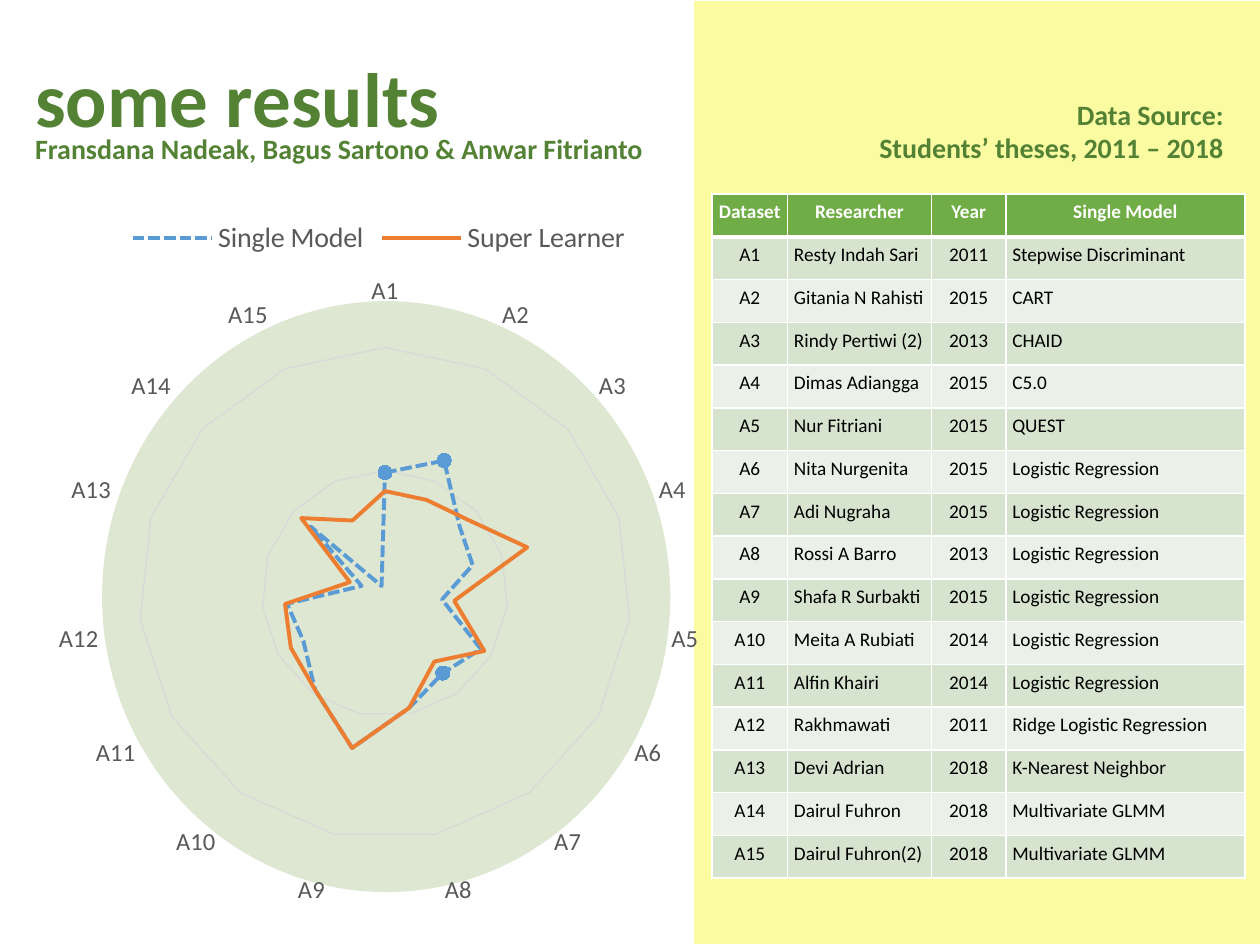
import pptx
import pptx.util
import pptx.chart.data
import pptx.dml.color
import pptx.enum.chart
import pptx.enum.dml
import pptx.enum.shapes
import pptx.enum.text
import lxml.etree

Pt = pptx.util.Pt
kinds = pptx.enum.shapes.MSO_SHAPE
align = pptx.enum.text.PP_ALIGN
enums = pptx.enum.chart
tones = {"panel": "FBFBA2", "disc": "DEE7D1", "title": "548235", "head": "70AD47",
         "odd": "D5E3CF", "even": "EBF1E9", "white": "FFFFFF", "black": "000000",
         "label": "595959", "grid": "D9D9D9", "single": "5B9BD5", "super": "ED7D31"}


def paint(font, size, tone, bold=False):
    font.name = "Calibri"
    font.size = Pt(size)
    font.bold = bold
    font.color.rgb = pptx.dml.color.RGBColor.from_string(tones[tone])


def fill(item, tone):
    item.fill.solid()
    item.fill.fore_color.rgb = pptx.dml.color.RGBColor.from_string(tones[tone])


deck = pptx.Presentation()
deck.slide_width, deck.slide_height = Pt(720), Pt(540)
slide = deck.slides.add_slide(deck.slide_layouts[6])
shapes = slide.shapes

for kind, box, tone in [(kinds.RECTANGLE, (396.7, 0.7, 323.3, 538.6), "panel"),
                        (kinds.OVAL, (58.3, 172.1, 324.7, 337.7), "disc")]:
    shape = shapes.add_shape(kind, *map(Pt, box))
    shape.shadow.inherit = False
    fill(shape, tone)
    shape.line.fill.background()

texts = [("some results", (13, 6.5, 620.6, 104.4), 44, align.LEFT, 0.9),
         ("Fransdana Nadeak, Bagus Sartono & Anwar Fitrianto",
          (13, 71.3, 364.3, 26.6), 16, align.LEFT, 1),
         ("Data Source:\nStudents’ theses, 2011 – 2018",
          (404.6, 51.8, 301.7, 46.1), 16, align.RIGHT, 1)]
for text, box, size, side, space in texts:
    frame = shapes.add_textbox(*map(Pt, box)).text_frame
    frame.word_wrap = True
    frame.vertical_anchor = pptx.enum.text.MSO_ANCHOR.MIDDLE
    frame.text = text
    for para in frame.paragraphs:
        para.alignment = side
        para.line_spacing = space
        paint(para.runs[0].font, size, "title", True)

data = pptx.chart.data.CategoryChartData()
data.categories = [f"A{n}" for n in range(1, 16)]
data.add_series("Single Model", [82, 94, 72, 68, 51, 77, 71, 80, 100, 81, 69, 71, 35, 72, 27])
data.add_series("Super Learner", [73, 73, 77, 96, 57, 79, 64, 80, 100, 81, 76, 72, 41, 78, 62])
chart = shapes.add_chart(enums.XL_CHART_TYPE.RADAR, Pt(-59), Pt(118.1), Pt(550.8),
                         Pt(407.5), data).chart
paint(chart.font, 10, "black")
chart.has_title = False
chart.has_legend = True
chart.legend.position = enums.XL_LEGEND_POSITION.TOP
chart.legend.include_in_layout = False
paint(chart.legend.font, 16, "label")
plot = chart.plots[0]
plot.vary_by_categories = False

cat = chart.category_axis
cat.major_tick_mark = enums.XL_TICK_MARK.NONE
paint(cat.tick_labels.font, 14, "label")
val = chart.value_axis
val.visible = False
val.minimum_scale, val.maximum_scale, val.major_unit = 23, 143, 60
val.has_major_gridlines = True
for line in (cat.format.line, val.major_gridlines.format.line):
    fill(line, "grid")
    line.width = Pt(0.75)

for series, tone in zip(plot.series, ("single", "super")):
    series.smooth = False
    series.marker.style = enums.XL_MARKER_STYLE.NONE
    fill(series.format.line, tone)
    series.format.line.width = Pt(2.25)
single = plot.series[0]
dash = pptx.enum.dml.MSO_LINE.SQUARE_DOT
single.format.line.dash_style = dash
for spot in (0, 1, 6):
    point = single.points[spot]
    point.marker.style = enums.XL_MARKER_STYLE.CIRCLE
    point.marker.size = 8
    fill(point.marker.format, "single")
    fill(point.marker.format.line, "single")
    fill(point.format.line, "single")
    point.format.line.width = Pt(2.25)
    point.format.line.dash_style = dash

rows = [("Dataset", "Researcher", "Year", "Single Model")]
people = [("Resty Indah Sari", 2011, "Stepwise Discriminant"),
          ("Gitania N Rahisti", 2015, "CART"),
          ("Rindy Pertiwi (2)", 2013, "CHAID"),
          ("Dimas Adiangga", 2015, "C5.0"),
          ("Nur Fitriani", 2015, "QUEST"),
          ("Nita Nurgenita", 2015, "Logistic Regression"),
          ("Adi Nugraha", 2015, "Logistic Regression"),
          ("Rossi A Barro", 2013, "Logistic Regression"),
          ("Shafa R Surbakti", 2015, "Logistic Regression"),
          ("Meita A Rubiati", 2014, "Logistic Regression"),
          ("Alfin Khairi", 2014, "Logistic Regression"),
          ("Rakhmawati", 2011, "Ridge Logistic Regression"),
          ("Devi Adrian", 2018, "K-Nearest Neighbor"),
          ("Dairul Fuhron", 2018, "Multivariate GLMM"),
          ("Dairul Fuhron(2)", 2018, "Multivariate GLMM")]
rows += [(f"A{n}", name, str(year), model)
         for n, (name, year, model) in enumerate(people, 1)]
table = shapes.add_table(16, 4, Pt(406.8), Pt(110.9), Pt(304.6), Pt(391)).table
for col, width in zip(table.columns, (43.3, 82.2, 42.6, 136.5)):
    col.width = Pt(width)
for r, row in enumerate(rows):
    table.rows[r].height = Pt(391 / 16)
    for c, text in enumerate(row):
        cell = table.cell(r, c)
        cell.margin_left = cell.margin_right = Pt(3.6)
        cell.margin_top = cell.margin_bottom = Pt(3.6)
        cell.text_frame.text = text
        para = cell.text_frame.paragraphs[0]
        para.alignment = align.CENTER if r == 0 or c in (0, 2) else align.LEFT
        paint(para.runs[0].font, 11, "black" if r else "white", r == 0)
        props = cell._tc.get_or_add_tcPr()
        for side in ("lnL", "lnR", "lnT", "lnB"):
            thick = (r == 0 and side == "lnB") or (r == 1 and side == "lnT")
            edge = lxml.etree.SubElement(props, pptx.oxml.ns.qn(f"a:{side}"),
                                         w=str(Pt(3 if thick else 1)))
            solid = lxml.etree.SubElement(edge, pptx.oxml.ns.qn("a:solidFill"))
            lxml.etree.SubElement(solid, pptx.oxml.ns.qn("a:srgbClr"), val=tones["white"])
        fill(cell, "head" if r == 0 else "odd" if r % 2 else "even")

deck.save("out.pptx")
